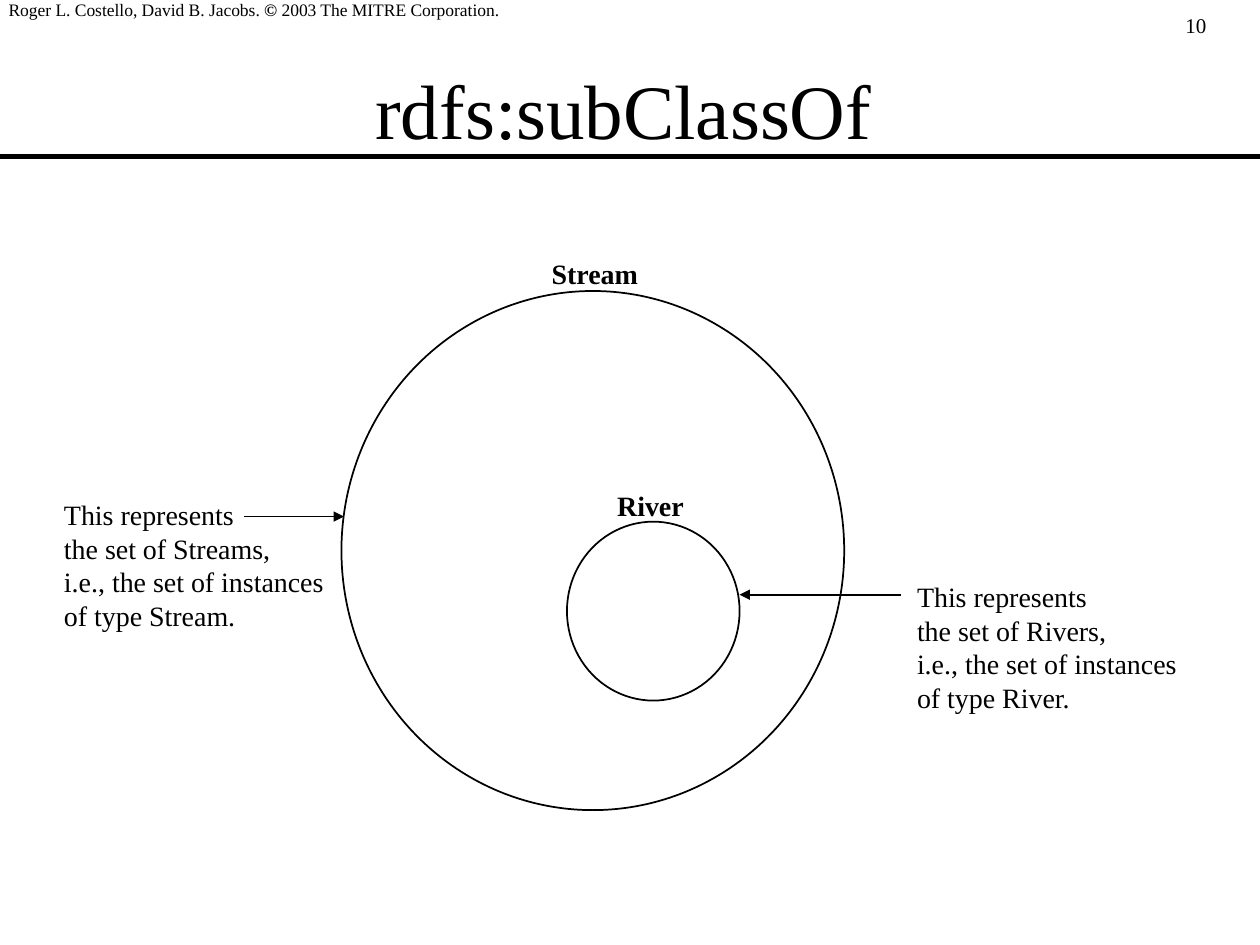
from lxml import etree
from pptx import Presentation
from pptx.dml.color import RGBColor
from pptx.enum.shapes import MSO_CONNECTOR, MSO_SHAPE
from pptx.enum.text import MSO_ANCHOR, PP_ALIGN
from pptx.oxml.ns import qn
from pptx.util import Inches, Pt

BLACK = RGBColor(0, 0, 0)
WHITE = RGBColor(255, 255, 255)
FONT = "Times New Roman"
ELLIPSE = MSO_SHAPE.OVAL
STRAIGHT = MSO_CONNECTOR.STRAIGHT
LEFT, CENTER = PP_ALIGN.LEFT, PP_ALIGN.CENTER
TOP, MIDDLE = MSO_ANCHOR.TOP, MSO_ANCHOR.MIDDLE

PAGE_NUMBER = "10"
COPYRIGHT = [
    ("Roger L. Costello, David B. Jacobs. ", False),
    ("©", True),
    (" 2003 The MITRE Corporation.", False),
]
TITLE = "rdfs:subClassOf"
CLASSES = [
    {"name": "Stream", "circle": (2.71, 2.31, 3.99, 4.12), "label": (4.28, 1.99, 0.89, 0.37),
     "note": (0.41, 3.9, 2.26, 1.17), "arrow": (1.94, 2.73, 4.1)},
    {"name": "River", "circle": (4.5, 4.14, 1.37, 1.42), "label": (4.8, 3.83, 0.73, 0.37),
     "note": (7.18, 4.55, 2.26, 1.17), "arrow": (7.15, 5.87, 4.72)},
]


def note_lines(name):
    return ["This represents", f"the set of {name}s,",
            "i.e., the set of instances", f"of type {name}."]


def add_text(slide, box, paragraphs, size, align=LEFT, anchor=TOP, wrap=False):
    frame = slide.shapes.add_textbox(*map(Inches, box)).text_frame
    frame.word_wrap = wrap
    frame.vertical_anchor = anchor
    for index, runs in enumerate(paragraphs):
        paragraph = frame.paragraphs[0] if index == 0 else frame.add_paragraph()
        paragraph.alignment = align
        for text, bold in runs:
            run = paragraph.add_run()
            run.text = text
            run.font.name = FONT
            run.font.size = Pt(size)
            run.font.bold = bold
            run.font.color.rgb = BLACK


def add_circle(slide, box):
    circle = slide.shapes.add_shape(ELLIPSE, *map(Inches, box))
    circle.shadow.inherit = False
    circle.fill.solid()
    circle.fill.fore_color.rgb = WHITE
    circle.line.color.rgb = BLACK
    circle.line.width = Pt(1)


def add_line(slide, start, end, y, width, arrow=False):
    line = slide.shapes.add_connector(STRAIGHT, Inches(start), Inches(y), Inches(end), Inches(y))
    line.line.color.rgb = BLACK
    line.line.width = Pt(width)
    properties = line._element.spPr
    if arrow:
        etree.SubElement(properties.find(qn("a:ln")), qn("a:tailEnd"), type="triangle")
    etree.SubElement(properties, qn("a:effectLst"))


def main():
    presentation = Presentation()
    presentation.slide_width = Inches(10)
    presentation.slide_height = Inches(7.5)
    slide = presentation.slides.add_slide(presentation.slide_layouts[6])

    add_text(slide, (9.31, 0.05, 0.9, 0.3), [[(PAGE_NUMBER, False)]], 12, wrap=True)
    add_text(slide, (-0.03, -0.06, 4.13, 0.27), [COPYRIGHT], 10)
    add_text(slide, (0.7, 0.24, 8.5, 1.25), [[(TITLE, False)]], 44, CENTER, MIDDLE, True)
    add_line(slide, 0, 10, 1.24, 3)

    for item in CLASSES:
        add_circle(slide, item["circle"])
    for item in CLASSES:
        add_text(slide, item["label"], [[(item["name"], True)]], 16)
        add_text(slide, item["note"], [[(line, False)] for line in note_lines(item["name"])], 16)
        add_line(slide, *item["arrow"], 1, arrow=True)

    presentation.save("out.pptx")


if __name__ == "__main__":
    main()
